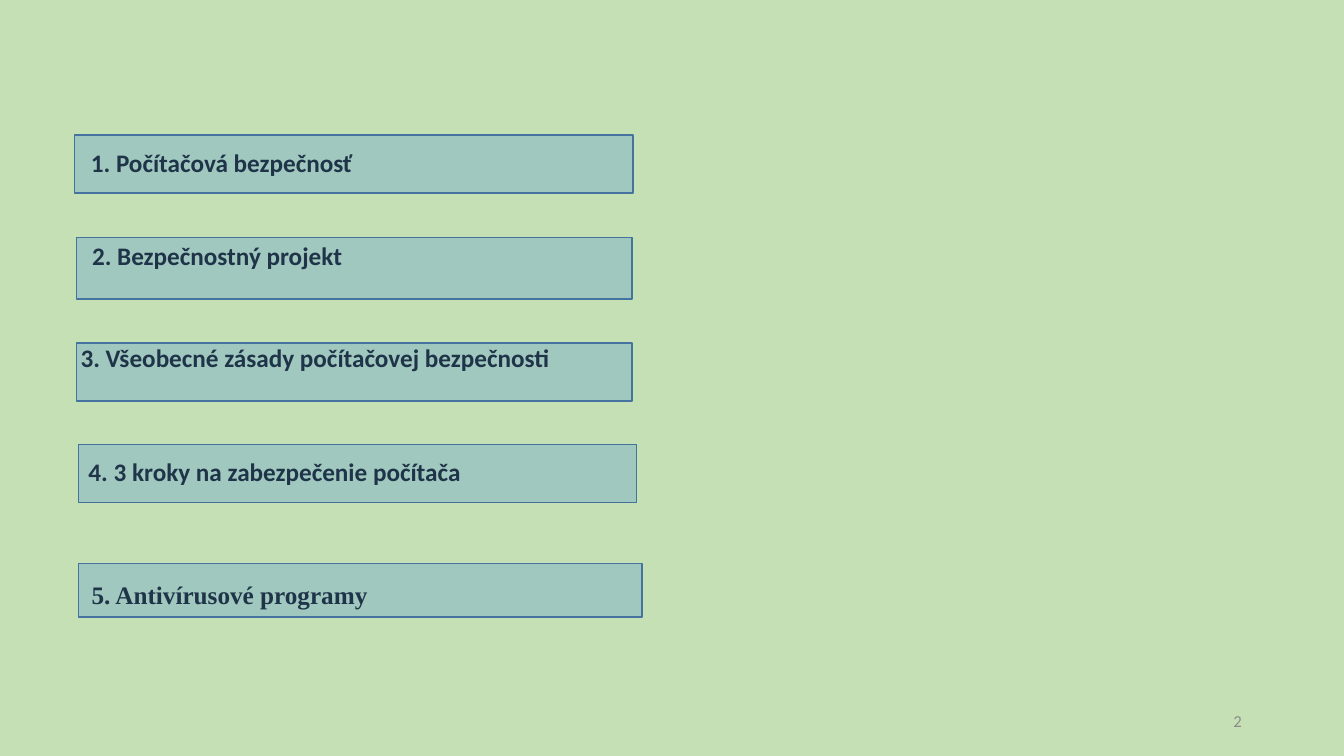
from lxml.etree import SubElement
from pptx import Presentation
from pptx.dml.color import RGBColor as Rgb
from pptx.enum.shapes import MSO_SHAPE as Kind
from pptx.enum.text import MSO_ANCHOR as Anchor, PP_ALIGN as Align
from pptx.oxml.ns import qn
from pptx.util import Cm, Pt

HUES = {"back": "C5E0B4", "fill": "5B9BD5", "line": "43739E",
        "text": "000000", "page": "8C8C8C"}


def write(box, text, font="Calibri", size=18, bold=True, hue="text", align=Align.LEFT):
    part = box.text_frame.paragraphs[0]
    part.alignment = align
    run = part.add_run()
    run.text = text
    run.font.name, run.font.size, run.font.bold = font, Pt(size), bold
    run.font.color.rgb = Rgb.from_string(HUES[hue])


class Deck:
    """Holds the style and the current slide."""

    def __init__(self):
        self.show = Presentation()
        self.show.slide_width, self.show.slide_height = Cm(33.87), Cm(19.05)
        self.slide = self.show.slides.add_slide(self.show.slide_layouts[6])
        self.paint(self.slide.background.fill, "back")

    def paint(self, fill, hue):
        fill.solid()
        fill.fore_color.rgb = Rgb.from_string(HUES[hue])

    def label(self, place, text, anchor=Anchor.TOP, **style):
        box = self.slide.shapes.add_textbox(*map(Cm, place))
        box.text_frame.word_wrap = True
        box.text_frame.vertical_anchor = anchor
        write(box, text, **style)

    def panel(self, place, alpha=34):
        box = self.slide.shapes.add_shape(Kind.RECTANGLE, *map(Cm, place))
        box.shadow.inherit = False
        self.paint(box.fill, "fill")
        tint = box.fill._xPr.find(qn("a:solidFill"))[0]
        SubElement(tint, qn("a:alpha"), val=str(alpha * 1000))
        self.paint(box.line.fill, "line")
        box.line.width = Pt(1)


def main():
    deck = Deck()
    items = [
        ("1. Počítačová bezpečnosť", (2.04, 3.58), (1.88, 3.4, 14.07, 1.47), "Calibri"),
        ("2. Bezpečnostný projekt", (2.07, 5.92), (1.93, 5.99, 14, 1.55), "Calibri"),
        ("3. Všeobecné zásady počítačovej bezpečnosti", (1.78, 8.51),
         (1.93, 8.64, 14, 1.47), "Calibri"),
        ("4. 3 kroky na zabezpečenie počítača", (1.98, 11.38),
         (1.98, 11.2, 14.07, 1.47), "Calibri"),
        ("5. Antivírusové programy", (2.06, 14.47), (1.98, 14.2, 14.2, 1.35),
         "Times New Roman"),
    ]
    for text, spot, _, font in items:
        deck.label((*spot, 13.7, 1.02), text, font=font)
    deck.label((23.93, 17.65, 7.62, 1.02), "2", anchor=Anchor.MIDDLE,
               size=12, bold=False, hue="page", align=Align.RIGHT)
    for _, _, place, _ in items:
        deck.panel(place)
    deck.show.save("out.pptx")


if __name__ == "__main__":
    main()
